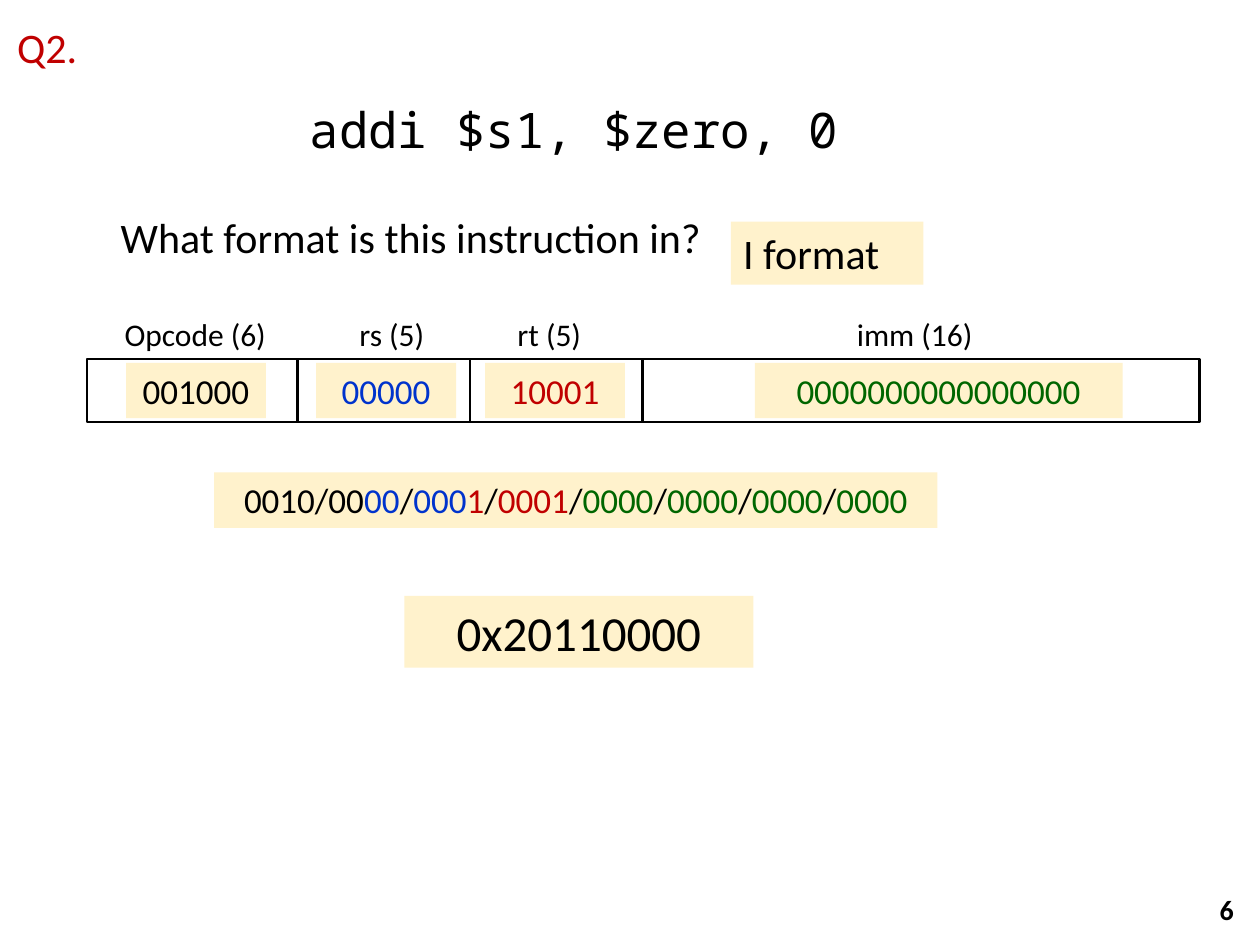
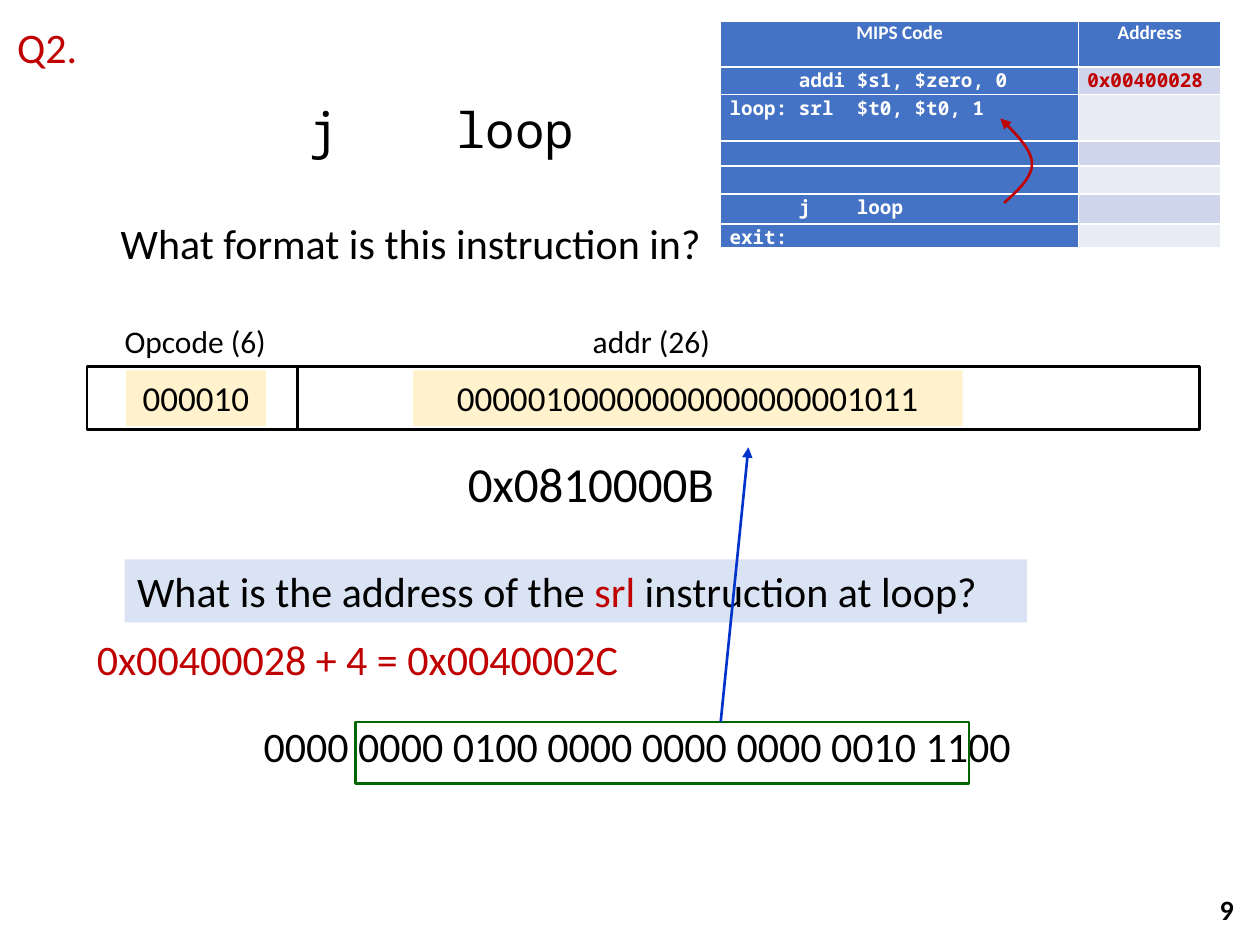
from dataclasses import dataclass
from itertools import groupby

from lxml.etree import SubElement
from pptx import Presentation
from pptx.dml.color import RGBColor
from pptx.enum.shapes import MSO_CONNECTOR, MSO_SHAPE
from pptx.enum.text import MSO_ANCHOR, MSO_AUTO_SIZE, PP_ALIGN
from pptx.oxml.ns import qn
from pptx.util import Emu, Pt

PX = 9144  # 100 px to the inch


@dataclass(frozen=True)
class Theme:
    black: str = "000000"
    white: str = "FFFFFF"
    red: str = "C00000"
    blue: str = "0033CC"
    green: str = "006600"
    answer: str = "FFF2CC"
    prompt: str = "DAE3F3"
    header: str = "4472C4"
    bands: tuple = ("CFD5EA", "E9EBF5")
    sans: str = "Calibri"
    mono: str = "Noto Sans Mono"
    big: int = 28
    text: int = 24
    bits: int = 20
    label: int = 18
    number: int = 16
    table: int = 11
    stroke: float = 1.5


THEME = Theme()
LEFT, CENTER, RIGHT = PP_ALIGN.LEFT, PP_ALIGN.CENTER, PP_ALIGN.RIGHT
FIELD_LEFT, FIELD_HEIGHT, LABEL_WIDTH = 69, 50, 153

# Fields: label, label centre, cell width, bits, (answer left, answer width), colour
ADDI = {
    "number": "6",
    "code": "addi $s1, $zero, 0",
    "question_top": 163,
    "fields_top": 285,
    "fields": [
        ("Opcode (6)", 155, 167, "001000", (100, 111), THEME.black),
        ("rs (5)", 311, 137, "00000", (251, 111), THEME.blue),
        ("rt (5)", 436, 137, "10001", (385, 111), THEME.red),
        ("imm (16)", 726, 442, "0" * 16, (599, 292), THEME.green),
    ],
}
JUMP = {
    "number": "9",
    "code": "j    loop",
    "question_top": 168,
    "fields_top": 291,
    "fields": [
        ("Opcode (6)", 155, 167, "000010", (100, 111), THEME.black),
        ("addr (26)", 517, 716, "00000100000000000000001011", (328, 436), THEME.black),
    ],
}

# Rows: height, code, address
PROGRAM = [
    (36, "MIPS Code", "Address"),
    (22, "      addi $s1, $zero, 0", "0x00400028"),
    (37, "loop: srl  $t0, $t0, 1", ""),
    (20, "", ""),
    (22, "", ""),
    (24, "      j    loop", ""),
    (17, "exit:", ""),
]
PROGRAM_AT = (572, 17)
PROGRAM_COLUMNS = (284, 113)

JUMP_BACK = [
    ((797, 161), (808, 151), (819, 141), (819, 130)),
    ((819, 130), (819, 119), (807, 107), (794, 94)),
]


def px(*lengths):
    return [Emu(round(length * PX)) for length in lengths]


def set_format(target, values):
    for name, value in values.items():
        setattr(target, name, value)


def write(frame, spans, size, align=LEFT, font=THEME.sans, bold=False):
    """Fill the first paragraph with (text, colour) spans."""
    para = frame.paragraphs[0]
    para.alignment = align
    for text, colour in spans:
        span = para.add_run()
        span.text = text
        set_format(span.font, {"name": font, "size": Pt(size), "bold": bold})
        span.font.color.rgb = RGBColor.from_string(colour)


def set_outline(shape, colour):
    shape.line.color.rgb = RGBColor.from_string(colour)
    shape.line.width = Pt(THEME.stroke)


def add_rectangle(page, at, fill=None, outline=None):
    shape = page.shapes.add_shape(MSO_SHAPE.RECTANGLE, *px(*at))
    shape.shadow.inherit = False
    if fill:
        shape.fill.solid()
        shape.fill.fore_color.rgb = RGBColor.from_string(fill)
    else:
        shape.fill.background()
    if outline:
        set_outline(shape, outline)
    else:
        shape.line.fill.background()
    return shape


def add_text(page, at, text, size, colour=THEME.black, fill=None,
             anchor=MSO_ANCHOR.TOP, **style):
    """Place a text box, or a filled rectangle when a fill is given."""
    box = add_rectangle(page, at, fill) if fill else page.shapes.add_textbox(*px(*at))
    set_format(box.text_frame, {"word_wrap": True, "vertical_anchor": anchor})
    spans = [(text, colour)] if isinstance(text, str) else text
    write(box.text_frame, spans, size, **style)


def add_arrowhead(shape):
    line = shape._element.spPr.find(qn("a:ln"))
    SubElement(line, qn("a:tailEnd"), type="triangle")


def add_fields(page, top, fields):
    left = FIELD_LEFT
    for label, label_centre, width, bits, (answer_left, answer_width), colour in fields:
        add_rectangle(page, (left, top, width, FIELD_HEIGHT), outline=THEME.black)
        add_text(page, (label_centre - LABEL_WIDTH / 2, top - 40, LABEL_WIDTH, 40),
                 label, THEME.label, align=CENTER)
        add_text(page, (answer_left, top + 3, answer_width, 44), bits, THEME.bits,
                 colour, THEME.answer, align=CENTER)
        left += width


def add_page(deck, content):
    page = deck.slides.add_slide(deck.slide_layouts[5])
    title = page.shapes.title
    set_format(title, dict(zip(("left", "top", "width", "height"), px(0, 12, 75, 50))))
    set_format(title.text_frame, {"auto_size": MSO_AUTO_SIZE.NONE, "word_wrap": True,
                                  "vertical_anchor": MSO_ANCHOR.TOP})
    write(title.text_frame, [("Q2.", THEME.red)], THEME.text, CENTER)
    add_text(page, (236, 74, 528, 57), content["code"], THEME.big, font=THEME.mono)
    add_text(page, (86, content["question_top"], 485, 50),
             "What format is this instruction in?", THEME.text)
    add_fields(page, content["fields_top"], content["fields"])
    add_text(page, (689, 702, 300, 40), content["number"], THEME.number,
             anchor=MSO_ANCHOR.MIDDLE, align=RIGHT, bold=True)
    return page


def nibble_spans(fields):
    """Join the field bits, split by slashes into fours, keeping field colours."""
    marks = []
    for _, _, _, bits, _, colour in fields:
        for bit in bits:
            if marks and len(marks) % 5 == 4:
                marks.append(("/", THEME.black))
            marks.append((bit, colour))
    return [("".join(mark for mark, _ in group), colour)
            for colour, group in groupby(marks, key=lambda mark: mark[1])]


def add_program(page):
    size = sum(PROGRAM_COLUMNS), sum(height for height, _, _ in PROGRAM)
    table = page.shapes.add_table(len(PROGRAM), 2, *px(*PROGRAM_AT, *size)).table
    for column, width in zip(table.columns, px(*PROGRAM_COLUMNS)):
        column.width = width
    margins = dict(zip(("margin_left", "margin_right", "margin_top", "margin_bottom"),
                       px(7, 7, 0, 0)))
    for row, (height, *texts) in enumerate(PROGRAM):
        table.rows[row].height = px(height)[0]
        for column, text in enumerate(texts):
            cell = table.cell(row, column)
            set_format(cell, margins)
            heading = row == 0
            shaded = heading or column == 0
            fill = THEME.header if shaded else THEME.bands[(row - 1) % 2]
            cell.fill.solid()
            cell.fill.fore_color.rgb = RGBColor.from_string(fill)
            if text:
                write(cell.text_frame, [(text, THEME.white if shaded else THEME.red)],
                      THEME.table, CENTER if heading else LEFT,
                      THEME.sans if heading else THEME.mono, bold=True)
            else:
                SubElement(cell.text_frame.paragraphs[0]._p, qn("a:endParaRPr"),
                           sz=str(THEME.table * 100))


def curve_points(curves, steps=16):
    """Sample cubic curves as EMU points."""
    for curve in curves:
        for step in range(steps + 1):
            t = step / steps
            weights = ((1 - t) ** 3, 3 * t * (1 - t) ** 2, 3 * t * t * (1 - t), t ** 3)
            yield tuple(px(*(sum(w * p for w, p in zip(weights, axis))
                             for axis in zip(*curve))))


def add_jump_back(page):
    start, *points = curve_points(JUMP_BACK)
    builder = page.shapes.build_freeform(*start)
    builder.add_line_segments(points, close=False)
    arrow = builder.convert_to_shape()
    arrow.fill.background()
    set_outline(arrow, THEME.red)
    add_arrowhead(arrow)
    arrow.shadow.inherit = False


def add_arrow(page, start, end, colour):
    arrow = page.shapes.add_connector(MSO_CONNECTOR.STRAIGHT, *px(*start, *end))
    set_outline(arrow, colour)
    add_arrowhead(arrow)
    SubElement(arrow._element.spPr, qn("a:effectLst"))


def build_addi(deck):
    page = add_page(deck, ADDI)
    add_text(page, (580, 176, 153, 50), "I format", THEME.text, fill=THEME.answer)
    add_text(page, (170, 375, 574, 44), nibble_spans(ADDI["fields"]), THEME.bits,
             fill=THEME.answer, align=CENTER)
    add_text(page, (321, 473, 277, 57), "0x20110000", THEME.big,
             fill=THEME.answer, align=CENTER)


def build_jump(deck):
    page = add_page(deck, JUMP)
    add_program(page)
    add_jump_back(page)
    add_text(page, (352, 355, 234, 57), "0x0810000B", THEME.big, align=CENTER)
    question = [("What is the address of the ", THEME.black), ("srl", THEME.red),
                (" instruction at loop?", THEME.black)]
    add_text(page, (99, 444, 716, 50), question, THEME.text, fill=THEME.prompt)
    add_text(page, (67, 498, 478, 50), "0x00400028 + 4 = 0x0040002C", THEME.text, THEME.red)
    add_text(page, (143, 567, 726, 50), "0000 0000 0100 0000 0000 0000 0010 1100",
             THEME.text, align=CENTER)
    add_rectangle(page, (282, 573, 487, 49), outline=THEME.green)
    add_arrow(page, (572, 573), (594, 355), THEME.blue)


def main():
    deck = Presentation()
    deck.slide_width, deck.slide_height = px(1000, 750)
    build_addi(deck)
    build_jump(deck)
    deck.save("out.pptx")


if __name__ == "__main__":
    main()
